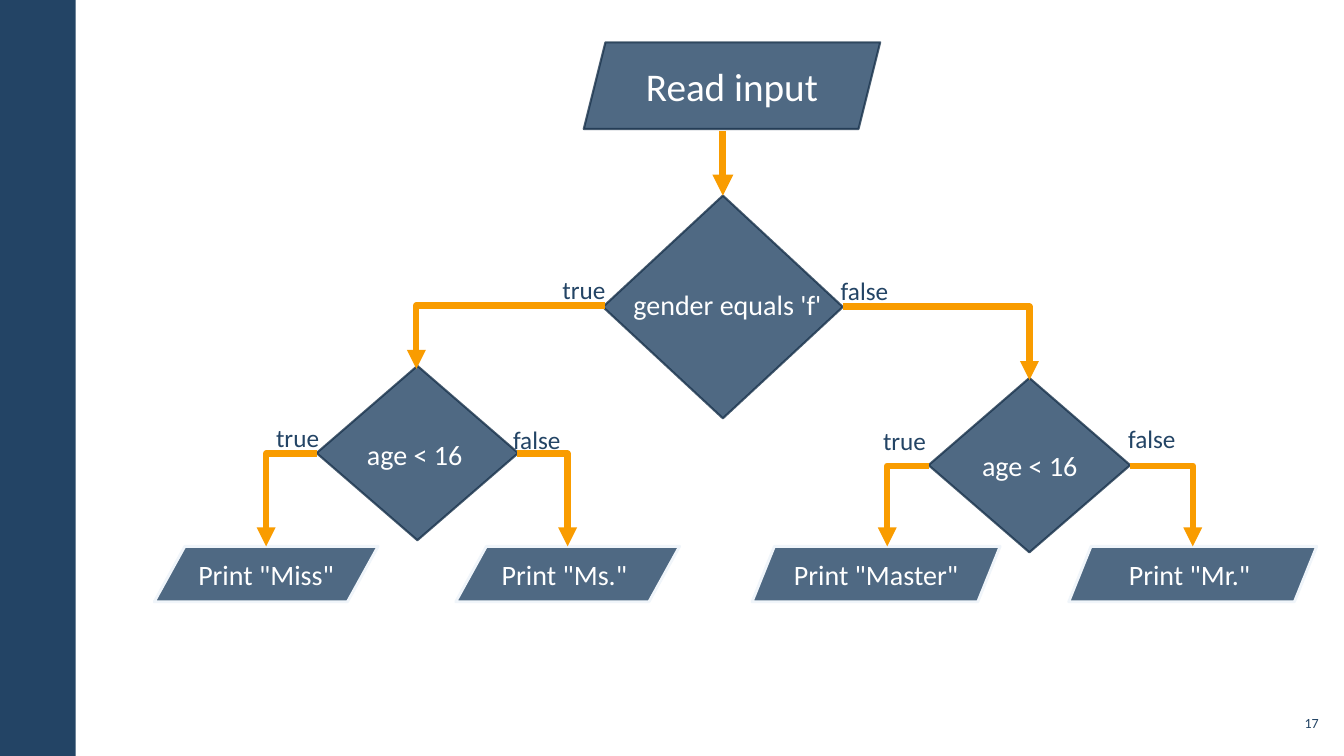
"""Build a flowchart slide that picks a title from gender and age."""
from lxml import etree
from pptx import Presentation
from pptx.dml.color import RGBColor
from pptx.enum.shapes import MSO_CONNECTOR, MSO_SHAPE
from pptx.enum.text import MSO_ANCHOR, PP_ALIGN
from pptx.oxml.ns import qn
from pptx.util import Inches, Pt

RECTANGLE, DIAMOND, PARALLELOGRAM = MSO_SHAPE.RECTANGLE, MSO_SHAPE.DIAMOND, MSO_SHAPE.PARALLELOGRAM
STRAIGHT, ELBOW = MSO_CONNECTOR.STRAIGHT, MSO_CONNECTOR.ELBOW
LEFT, CENTER, RIGHT = PP_ALIGN.LEFT, PP_ALIGN.CENTER, PP_ALIGN.RIGHT
TOP, MIDDLE = MSO_ANCHOR.TOP, MSO_ANCHOR.MIDDLE
NAVY, EDGE, PALE, ORANGE, WHITE = "234465", "1A334C", "F0F5FA", "F99C00", "FFFFFF"


def color(value):
    return RGBColor.from_string(value)


def write(shape, text, size, ink, align=LEFT, anchor=TOP, inset=(0.1, 0.05), wrap=True, spacing=None):
    frame = shape.text_frame
    frame.word_wrap = wrap
    frame.vertical_anchor = anchor
    frame.margin_left = frame.margin_right = Inches(inset[0])
    frame.margin_top = frame.margin_bottom = Inches(inset[1])
    para = frame.paragraphs[0]
    para.alignment = align
    para.line_spacing = spacing
    span = para.add_run()
    span.text = text
    span.font.name = "Calibri"
    span.font.size = Pt(size)
    span.font.color.rgb = color(ink)


deck = Presentation()
deck.slide_width, deck.slide_height = Inches(13.33), Inches(7.5)
page = deck.slides.add_slide(deck.slide_layouts[6])

sidebar = page.shapes.add_shape(RECTANGLE, 0, 0, Inches(0.75), Inches(7.5))
sidebar.shadow.inherit = False
sidebar.fill.solid()
sidebar.fill.fore_color.rgb = color(NAVY)
sidebar.line.fill.background()

number = page.shapes.add_textbox(Inches(12.65), Inches(7), Inches(0.47), Inches(0.34))
write(number, "17", 10, NAVY, RIGHT, MIDDLE, (0.04, 0.04))

nodes = [
    (PARALLELOGRAM, (5.79, 0.42, 2.94, 0.86), 0.25, EDGE, 1.5, "Read input", 28),
    (DIAMOND, (5.98, 1.94, 2.38, 2.21), None, EDGE, 1.5, None, None),
    (DIAMOND, (3.14, 3.63, 2, 1.73), None, EDGE, 1.5, None, None),
    (DIAMOND, (9.21, 3.75, 2, 1.73), None, EDGE, 1.5, None, None),
]
for left, width, slant, title in [
    (1.53, 2.22, 0.552, "Miss"),
    (4.52, 2.22, 0.552, "Ms."),
    (7.46, 2.46, 0.403, "Master"),
    (10.6, 2.46, 0.403, "Mr."),
]:
    nodes.append((PARALLELOGRAM, (left, 5.42, width, 0.55), slant, PALE, 2, f'Print "{title}" ', 20))

for kind, place, slant, border, weight, text, size in nodes:
    node = page.shapes.add_shape(kind, *map(Inches, place))
    node.shadow.inherit = False
    if slant:
        node.adjustments[0] = slant
    node.fill.solid()
    node.fill.fore_color.rgb = color(NAVY)
    node.line.color.rgb = color(border)
    node.line.width = Pt(weight)
    for paint in node._element.spPr.iter(qn("a:srgbClr")):
        if paint.get("val") != PALE:
            etree.SubElement(paint, qn("a:alpha")).set("val", "80000")
    if text:
        write(node, text, size, WHITE, CENTER, MIDDLE)

conditions = [
    (5.7, 2.7, 3.03, "gender equals 'f'", CENTER),
    (3.48, 4.19, 1.45, "age < 16", LEFT),
    (9.58, 4.3, 1.45, "age < 16", LEFT),
]
for left, top, width, text, align in conditions:
    condition = page.shapes.add_textbox(Inches(left), Inches(top), Inches(width), Inches(0.59))
    write(condition, text, 20, WHITE, align, inset=(0.16, 0.12), spacing=1.1)

branches = [
    (5.48, 2.67, 0.97, "true"),
    (8.24, 2.68, 0.68, "false"),
    (2.64, 4.14, 0.63, "true"),
    (4.99, 4.16, 0.84, "false"),
    (8.66, 4.17, 0.63, "true"),
    (11.09, 4.15, 0.88, "false"),
]
for left, top, width, text in branches:
    branch = page.shapes.add_textbox(Inches(left), Inches(top), Inches(width), Inches(0.4))
    write(branch, text, 18, NAVY, wrap=width > 0.8)

arrows = [
    (STRAIGHT, 7.17, 1.3, 7.17, 1.94, 5),
    (ELBOW, 6, 3.03, 4.13, 3.66, 4.5),
    (ELBOW, 8.36, 3.04, 10.21, 3.77, 4.5),
    (ELBOW, 3.14, 4.5, 2.64, 5.42, 4.5),
    (ELBOW, 5.13, 4.5, 5.63, 5.42, 4.5),
    (ELBOW, 9.21, 4.62, 8.8, 5.42, 4.5),
    (ELBOW, 11.21, 4.62, 11.83, 5.42, 4.5),
]
for kind, start_x, start_y, end_x, end_y, weight in arrows:
    arrow = page.shapes.add_connector(kind, *map(Inches, (start_x, start_y, end_x, end_y)))
    arrow.line.color.rgb = color(ORANGE)
    arrow.line.width = Pt(weight)
    properties = arrow._element.spPr
    if kind == ELBOW:
        properties.find(qn("a:prstGeom")).set("prst", "bentConnector2")
    outline = properties.find(qn("a:ln"))
    etree.SubElement(outline, qn("a:round"))
    etree.SubElement(outline, qn("a:tailEnd")).set("type", "triangle")
    etree.SubElement(properties, qn("a:effectLst"))

deck.save("out.pptx")
